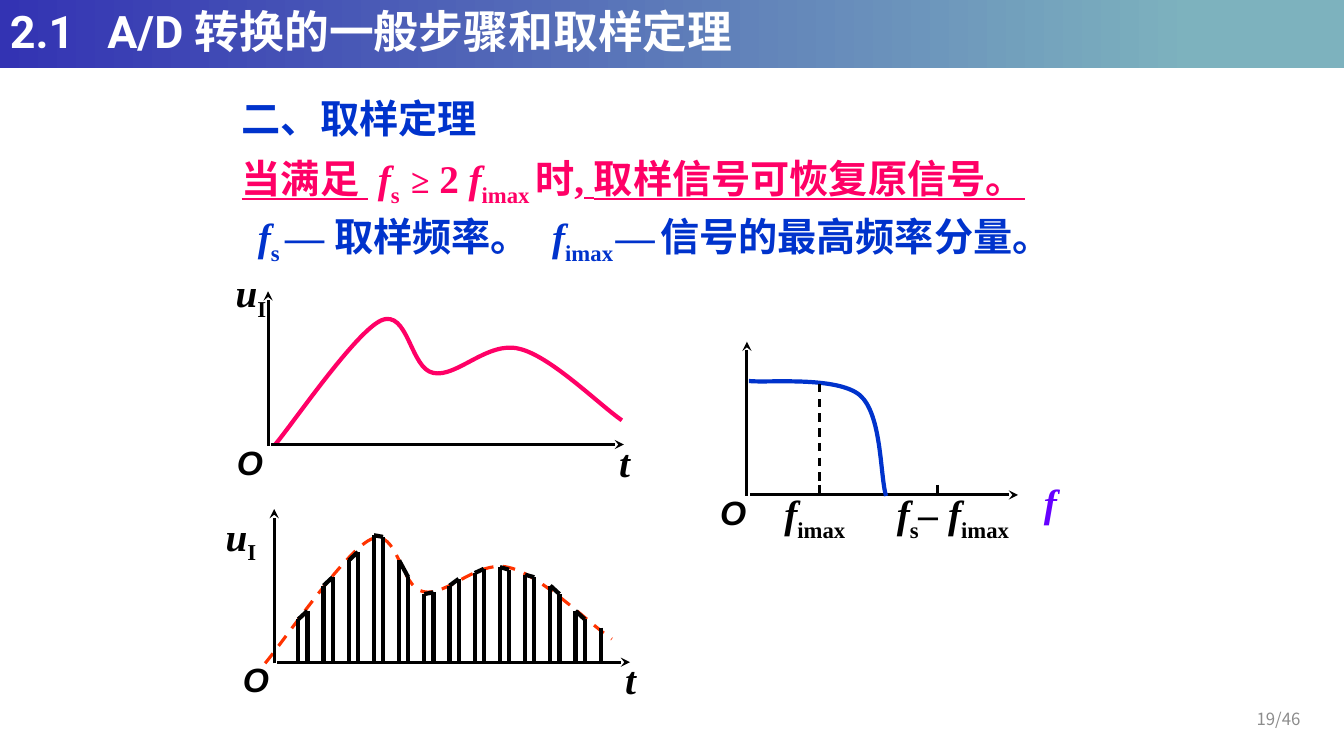
from dataclasses import dataclass

from lxml.etree import SubElement
from pptx import Presentation
from pptx.dml.color import RGBColor
from pptx.enum.dml import MSO_LINE
from pptx.enum.shapes import MSO_CONNECTOR, MSO_SHAPE
from pptx.enum.text import MSO_ANCHOR, PP_ALIGN
from pptx.oxml.ns import qn
from pptx.util import Inches, Pt


@dataclass(frozen=True)
class Theme:
    banner_start: str = "3333B3"
    banner_end: str = "7DB2BE"
    white: str = "FFFFFF"
    black: str = "000000"
    blue: str = "0033CC"
    pink: str = "FF0066"
    orange: str = "FF3300"
    violet: str = "6600FF"
    gray: str = "8C8C8C"
    title_size: int = 32
    body_size: int = 28
    origin_size: int = 24
    gap_size: int = 14
    page_size: int = 12
    serif: str = "Times New Roman"
    sans: str = "Arial"
    heading: str = "Roboto"
    chinese: str = "Noto Sans CJK SC"


class SlideBuilder:
    columns, rows = 160, 90

    def __init__(self, deck, theme):
        self.theme = theme
        self.column = deck.slide_width / self.columns
        self.row = deck.slide_height / self.rows
        self.shapes = deck.slides.add_slide(deck.slide_layouts[6]).shapes

    def at(self, *lengths):
        return [round(n * (self.row if i % 2 else self.column)) for i, n in enumerate(lengths)]

    def banner(self, *place):
        band = self.shapes.add_shape(MSO_SHAPE.RECTANGLE, *self.at(*place))
        band.shadow.inherit = False
        band.line.fill.background()
        band.fill.gradient()
        band.fill.gradient_angle = 0
        colors = (self.theme.banner_start, self.theme.banner_end)
        for stop, color, position in zip(band.fill.gradient_stops, colors, (0, 0.89)):
            stop.color.rgb = RGBColor.from_string(color)
            stop.position = position

    def text(self, place, pieces, color, size=None, font=None, bold=True,
             align=PP_ALIGN.LEFT, anchor=MSO_ANCHOR.TOP, wrap=True, spacing=None, tab=None):
        frame = self.shapes.add_textbox(*self.at(*place)).text_frame
        frame.word_wrap = wrap
        frame.vertical_anchor = anchor
        paragraph = frame.paragraphs[0]
        paragraph.alignment = align
        if spacing:
            paragraph.line_spacing = spacing
        if tab:
            stops = SubElement(paragraph._p.get_or_add_pPr(), qn("a:tabLst"))
            SubElement(stops, qn("a:tab"), pos=str(round(tab * self.column)), algn="l")
        for words, look in pieces:
            run = paragraph.add_run()
            run.text = words
            run.font.size = Pt(look.get("size", size or self.theme.body_size))
            run.font.bold = bold
            run.font.italic = look.get("italic", False)
            run.font.underline = look.get("underline", False)
            run.font.color.rgb = RGBColor.from_string(color)
            run.font.name = font or self.theme.serif
            properties = run._r.get_or_add_rPr()
            for name in ("baseline", "spc"):
                if name in look:
                    properties.set(name, str(look[name]))
            SubElement(properties, qn("a:ea"), typeface=self.theme.chinese)

    def label(self, place, pieces, color=None, **style):
        self.text(place, pieces, color or self.theme.black, align=PP_ALIGN.CENTER,
                  anchor=MSO_ANCHOR.MIDDLE, wrap=False, **style)

    def line(self, start, end, width=2.25, dash=False, arrow=False):
        stroke = self.shapes.add_connector(MSO_CONNECTOR.STRAIGHT, *self.at(*start, *end))
        self.pen(stroke.line, self.theme.black, width, dash)
        if arrow:
            SubElement(stroke.line._get_or_add_ln(), qn("a:tailEnd"), type="stealth")
        SubElement(stroke._element.spPr, qn("a:effectLst"))

    def pen(self, outline, color, width, dash):
        outline.color.rgb = RGBColor.from_string(color)
        outline.width = Pt(width)
        if dash:
            outline.dash_style = MSO_LINE.DASH

    def curve(self, start, controls, color, width=3, dash=False):
        points = [self.at(start[0] + x, start[1] + y) for x, y in controls]
        builder = self.shapes.build_freeform(*points[0])
        builder.add_line_segments(points[1:], close=False)
        wave = builder.convert_to_shape()
        wave.shadow.inherit = False
        wave.fill.background()
        self.pen(wave.line, color, width, dash)
        outline = next(wave._element.iter(qn("a:path")))
        segments = list(outline)[1:]
        for i in range(0, len(segments), 3):
            bezier = SubElement(outline, qn("a:cubicBezTo"))
            for segment in segments[i:i + 3]:
                bezier.append(segment[0])
                outline.remove(segment)

    def axes(self, x, y, length, origin_shift):
        self.line((x + 0.36, y), (x + length, y), arrow=True)
        self.line((x, y + 0.12), (x, y - 18.24), arrow=True)
        self.label((x - origin_shift - 2.7, y - 0.96, 5.4, 6), [("O", ITALIC)],
                   size=self.theme.origin_size, font=self.theme.sans)


ITALIC = {"italic": True}
SUBSCRIPT = {"baseline": -25000}
UNDERLINE = {"underline": True}


def symbol(letter, index):
    return [(letter, ITALIC), (index, SUBSCRIPT)]


SIGNAL = [(0, 0), (2.04, -2.4), (9.48, -13.32), (12.6, -14.76), (15.84, -16.2),
          (16.08, -9), (18.84, -8.52), (21.6, -7.92), (25.32, -12.36), (29.04, -11.4),
          (32.76, -10.56), (38.64, -4.68), (41.28, -2.88)]
FILTER = [(0, 0), (2.28, 0.24), (10.44, -0.6), (13.2, 1.68),
          (15.84, 3.96), (15.6, 11.16), (16.32, 13.68)]
SAMPLES = [(5, 6), (9, 10), (12, 13), (15, 14.8), (12, 10), (8, 8.2), (9, 9.8),
           (10.5, 11), (11.2, 10.9), (10.3, 10), (9, 8), (6, 5), (4,)]


def draw_heading(slide, theme):
    slide.banner(0, 0, 160, 8.16)
    slide.text((0, 0, 160, 8.16), [("2.1\tA/D 转换的一般步骤和取样定理", {})], theme.white,
               size=theme.title_size, font=theme.heading, anchor=MSO_ANCHOR.MIDDLE,
               spacing=0.9, tab=11.6)
    slide.text((27.6, 10.68, 39, 6.84), [("二、取样定理", {})], theme.blue)
    condition = [("当满足", UNDERLINE), (" ", {**UNDERLINE, "spc": 700}),
                 *symbol("f", "s"), (" ", {**SUBSCRIPT, "spc": 400}),
                 ("≥", {"size": theme.origin_size}), (" ", ITALIC), ("2 ", {}),
                 *symbol("f", "imax "), ("时,", {}), (" 取样信号可恢复原信号。", UNDERLINE)]
    slide.text((27.6, 17.76, 104.88, 6.84), condition, theme.pink)
    slide.text((29.52, 24.72, 40.8, 6.84),
               [*symbol("f", "s "), ("— ", ITALIC), ("取样频率。", {})], theme.blue)
    gap = {"size": theme.gap_size}
    slide.text((64.56, 24.72, 66.96, 6.84),
               [*symbol("f", "imax"), (" ", {**SUBSCRIPT, **gap}), ("—", ITALIC),
                (" ", {**ITALIC, **gap}), ("信号的最高频率分量。", {})], theme.blue)


def draw_time_graphs(slide, theme):
    for x, y, name_place, start, color, width, dash in (
            (31.92, 52.92, (26.76, 31.68), (32.76, 52.92), theme.pink, 3, False),
            (32.64, 78.84, (25.56, 60.72), (31.56, 78.96), theme.orange, 2.25, True)):
        slide.curve(start, SIGNAL, color, width, dash)
        slide.axes(x, y, 42.36, 2.2)
        slide.label((*name_place, 6.24, 6.84), symbol("u", "I"))
        slide.label((x + 39.9, y - 1.4, 5.04, 6.84), [("t", ITALIC)])


def draw_samples(slide):
    base, first, step, width = 78.72, 35.52, 3, 1.08
    for i, heights in enumerate(SAMPLES):
        tops = [(first + i * step + j * width, base - height) for j, height in enumerate(heights)]
        for x, y in tops:
            slide.line((x, y), (x, base), 3)
        if len(tops) == 2:
            slide.line(*tops, 3)


def draw_filter_graph(slide, theme):
    slide.axes(88.92, 58.92, 32.28, 1.68)
    slide.curve((89.16, 45.36), FILTER, theme.blue)
    slide.label((121.56, 56.28, 6.96, 6.84), [("f", ITALIC)], theme.violet)
    slide.text((92.2, 57.72, 12.96, 6.84), symbol("f", "imax"), theme.black)
    slide.text((105.6, 57.72, 18.96, 6.84),
               [*symbol("f", "s"), *symbol("– f", "imax")], theme.black)
    for x in (97.56, 111.6):
        slide.line((x, 57.72), (x, 58.68))
    slide.line((97.56, 45.72), (97.56, 58.68), 1.5, dash=True)


def main():
    deck = Presentation()
    deck.slide_width, deck.slide_height = Inches(13.33), Inches(7.5)
    theme = Theme()
    slide = SlideBuilder(deck, theme)
    draw_heading(slide, theme)
    draw_time_graphs(slide, theme)
    draw_samples(slide)
    draw_filter_graph(slide, theme)
    slide.text((140.28, 83.16, 15.72, 4.8), [("19/46", {})], theme.gray, size=theme.page_size,
               font=theme.chinese, bold=False, align=PP_ALIGN.RIGHT, anchor=MSO_ANCHOR.MIDDLE)
    deck.save("out.pptx")


if __name__ == "__main__":
    main()
